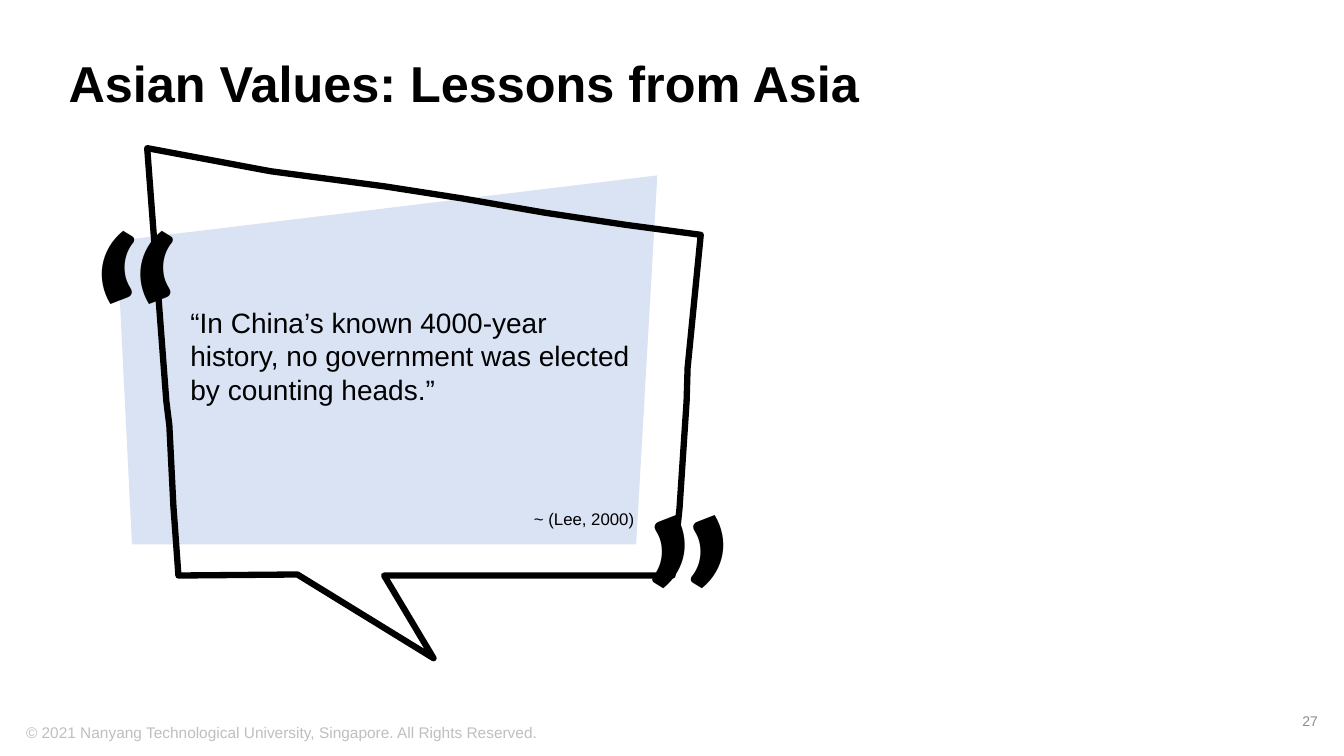
from dataclasses import dataclass

from lxml import etree
from pptx import Presentation
from pptx.dml.color import RGBColor
from pptx.enum.text import MSO_ANCHOR, MSO_AUTO_SIZE, PP_ALIGN
from pptx.oxml.ns import qn
from pptx.util import Inches, Pt


@dataclass(frozen=True)
class Theme:
    font: str = "Arial"
    mark_font: str = "Lato"
    ink: str = "000000"
    panel: str = "DAE3F3"
    footer: str = "BFBFBF"
    number: str = "8C8C8C"
    title_size: int = 36
    quote_size: int = 20
    source_size: int = 12
    footer_size: int = 11
    number_size: int = 10
    mark_size: int = 166
    outline: float = 4.5


theme = Theme()
deck = Presentation()
deck.slide_width, deck.slide_height = Inches(13.33), Inches(7.5)
page = deck.slides.add_slide(deck.slide_layouts[5])


def write(box, lines, color, align=PP_ALIGN.LEFT, font=theme.font, bold=False):
    """Fill a box with (text, size) paragraphs in one style."""
    frame = box.text_frame
    frame.word_wrap = True
    frame.text = "\n".join(text for text, size in lines)
    for para, (text, size) in zip(frame.paragraphs, lines):
        para.alignment = align
        for span in para.runs:
            span.font.name, span.font.size, span.font.bold = font, Pt(size), bold
            span.font.color.rgb = RGBColor.from_string(color)
    return frame


def draw_outline(points):
    """Draw a closed polygon through points given in inches."""
    corners = [(Inches(x), Inches(y)) for x, y in points]
    builder = page.shapes.build_freeform(*corners[0])
    builder.add_line_segments(corners[1:], close=True)
    shape = builder.convert_to_shape()
    shape.shadow.inherit = False
    return shape


# Copyright line
footer = page.shapes.add_textbox(Inches(0.16), Inches(7.12), Inches(8), Inches(0.23))
write(footer, [("© 2021 Nanyang Technological University, Singapore. All Rights Reserved.",
                theme.footer_size)], theme.footer)

# Title
title = page.shapes.title
title.left, title.top, title.width, title.height = (
    Inches(0.58), Inches(0.4), Inches(11.5), Inches(0.92))
frame = write(title, [("Asian Values: Lessons from Asia", theme.title_size)],
              theme.ink, bold=True)
frame.vertical_anchor = MSO_ANCHOR.MIDDLE
frame.auto_size = MSO_AUTO_SIZE.NONE
frame.paragraphs[0].line_spacing = 0.9

# Page number
number = page.shapes.add_textbox(Inches(10.17), Inches(6.95), Inches(3), Inches(0.4))
frame = write(number, [("27", theme.number_size)], theme.number, PP_ALIGN.RIGHT)
frame.vertical_anchor = MSO_ANCHOR.MIDDLE

# Tinted panel behind the quotation
panel = draw_outline([(1.16, 2.39), (6.52, 1.74), (6.31, 5.4), (1.31, 5.4)])
panel.fill.solid()
panel.fill.fore_color.rgb = RGBColor.from_string(theme.panel)
panel.line.fill.background()

# Speech bubble
bubble = draw_outline([
    (1.46, 1.47), (2.58, 1.68), (2.69, 1.7), (3.82, 1.85),
    (4.59, 1.97), (5.4, 2.11), (6.2, 2.23), (6.95, 2.33),
    (6.82, 3.65), (6.81, 3.98), (6.74, 5.04), (6.67, 5.71),
    (3.81, 5.71), (4.3, 6.53), (2.95, 5.7), (1.77, 5.71),
    (1.72, 5.02), (1.68, 4.22), (1.65, 3.98)])
bubble.fill.background()
bubble.line.color.rgb = RGBColor.from_string(theme.ink)
bubble.line.width = Pt(theme.outline)

# Opening mark, and the same mark turned round to close
for left, top, rotation in [(0.82, 1.74, 0), (6.4, 3.51, 180)]:
    mark = page.shapes.add_textbox(Inches(left), Inches(top), Inches(0.97), Inches(2.89))
    mark.rotation = rotation
    frame = write(mark, [("“", theme.mark_size)], theme.ink, PP_ALIGN.CENTER,
                  theme.mark_font, bold=True)
    frame.word_wrap = False
    frame.auto_size = MSO_AUTO_SIZE.SHAPE_TO_FIT_TEXT
    properties = frame.paragraphs[0].runs[0].font._element
    edge = etree.Element(qn("a:ln"), w=str(Pt(0.75)))
    fill = etree.SubElement(edge, qn("a:solidFill"))
    etree.SubElement(fill, qn("a:srgbClr"), val=theme.ink)
    properties.insert(0, edge)

# Quotation and its source
quote = page.shapes.add_textbox(Inches(1.79), Inches(2.98), Inches(4.6), Inches(2.32))
frame = write(quote, [
    ("“In China’s known 4000-year history, no government was elected by counting heads.”",
     theme.quote_size),
    ("~ (Lee, 2000)", theme.source_size)], theme.ink)
source = frame.paragraphs[1]
source.alignment = PP_ALIGN.RIGHT
source.space_before = Pt(73)

deck.save("out.pptx")
